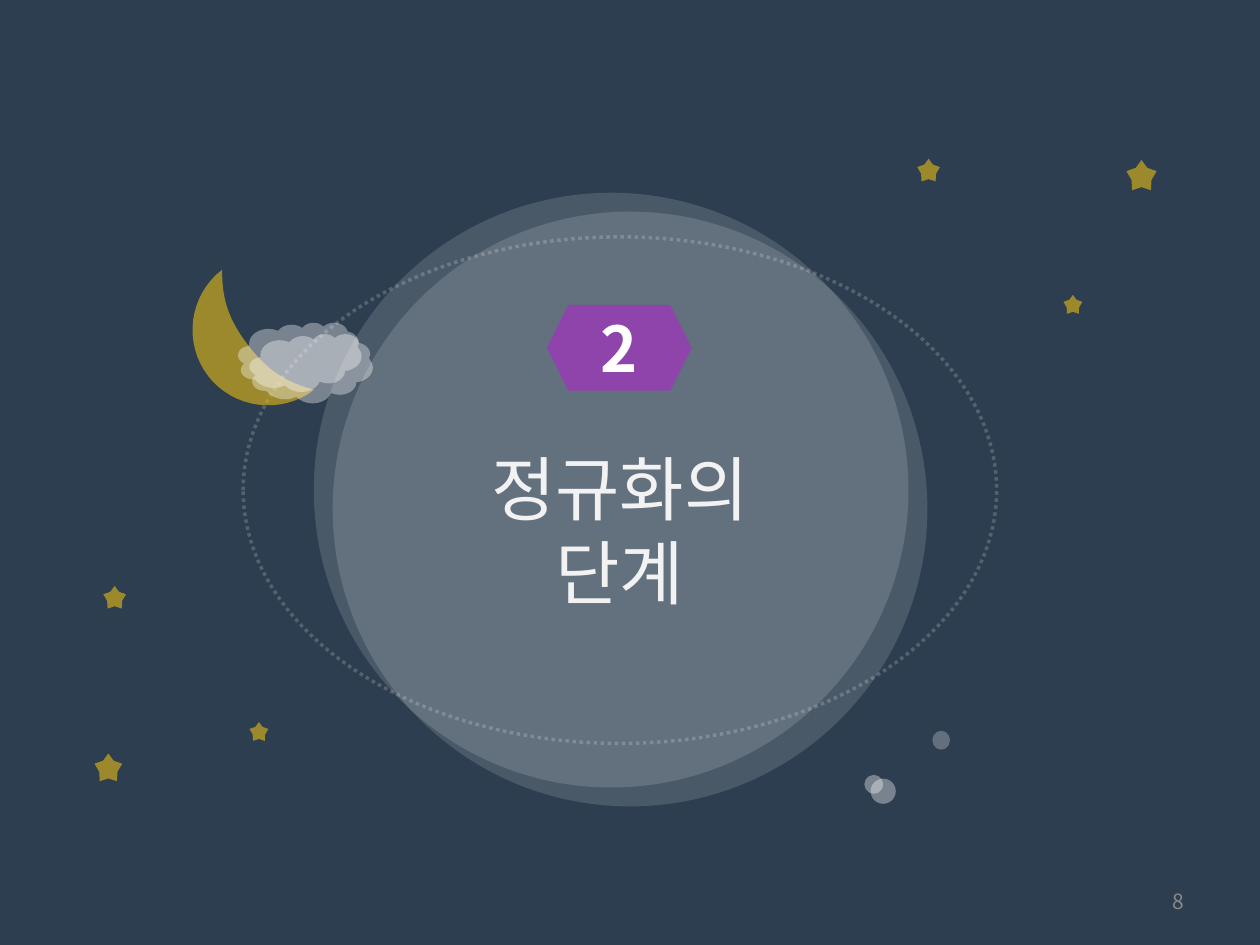
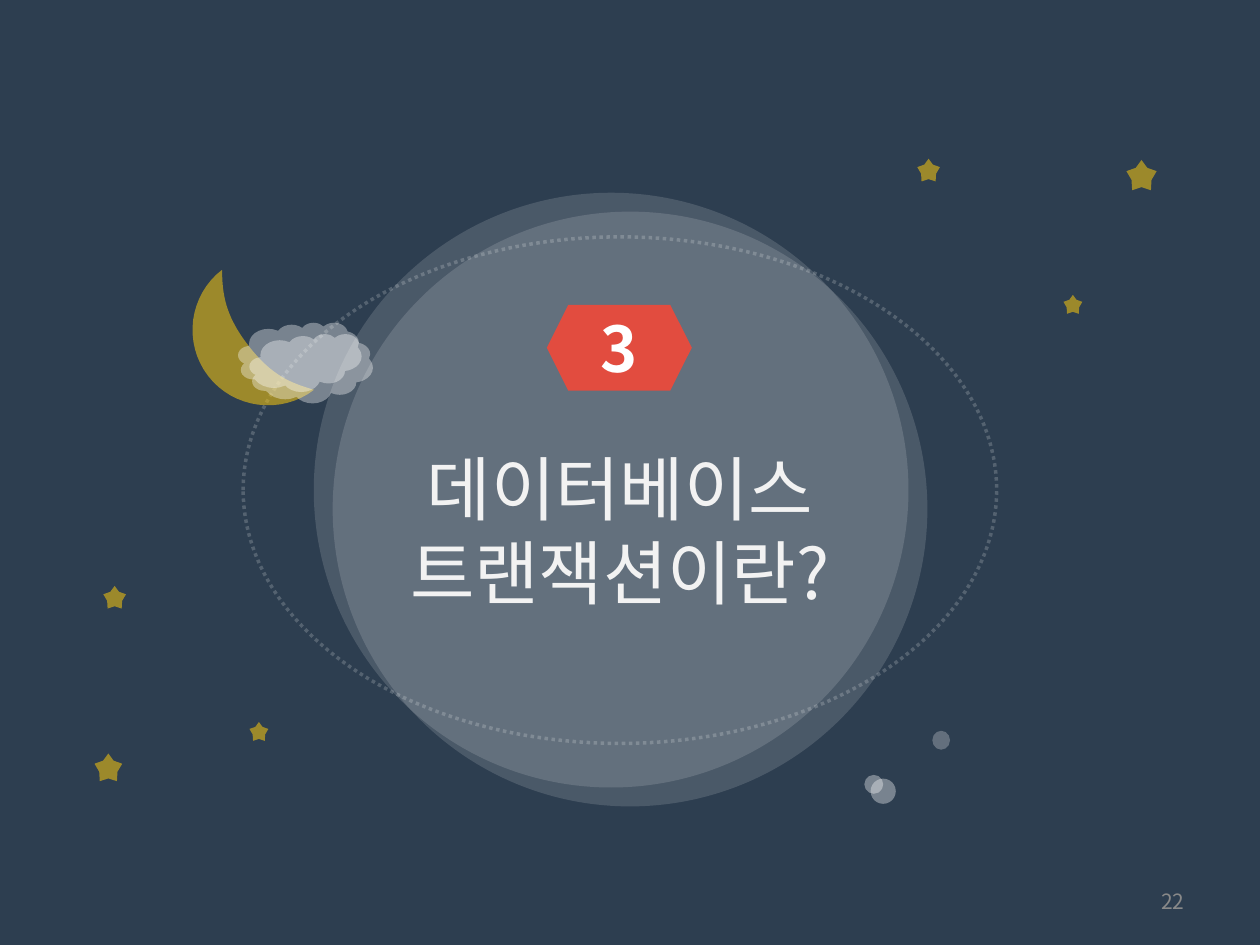
"""Build two night-sky section slides with python-pptx."""
from lxml.etree import SubElement
from pptx import Presentation
from pptx.dml.color import RGBColor
from pptx.enum.dml import MSO_LINE
from pptx.enum.shapes import MSO_SHAPE
from pptx.enum.text import MSO_ANCHOR, MSO_AUTO_SIZE, PP_ALIGN
from pptx.oxml.ns import qn
from pptx.util import Inches, Pt

COLORS = {"night": "2D3E50", "white": "FFFFFF", "gold": "F3C40F", "title": "F2F2F2",
          "page": "898989", "purple": "8F44AB", "red": "E24C3F"}
FACE = "Noto Sans CJK KR"
FORMATS = {
    "title": {"size": Pt(40), "bold": False, "name": FACE},
    "badge": {"size": Pt(36), "bold": True, "name": FACE},
    "page": {"size": Pt(12), "bold": False, "name": FACE},
}
SLIDES = [
    ("2", "purple", ["정규화의", "단계"], "8"),
    ("3", "red", ["데이터베이스", "트랜잭션이란?"], "22"),
]
STARS = [(0.75, 5.98, 0.22), (1.98, 5.73, 0.15), (0.82, 4.65, 0.18),
         (8.94, 1.27, 0.24), (8.44, 2.34, 0.15), (7.28, 1.26, 0.18)]
STAR = [(0, 0.37), (0.31, 0.26), (0.5, 0), (0.69, 0.26), (1, 0.37),
        (0.83, 0.66), (0.81, 1), (0.5, 0.9), (0.19, 1), (0.17, 0.66)]
DOTS = [(6.86, 6.15, 0.15, 0.15, 36), (6.91, 6.18, 0.2, 0.2, 36), (7.4, 5.8, 0.14, 0.15, 26)]
MOON = [[(0.3, -0.6), (0.19, -0.45), (0.1, -0.31), (0.1, 0)],
        [(0.1, 0), (0.1, 0.31), (0.19, 0.45), (0.3, 0.6)],
        [(0.3, 0.6), (-0.03, 0.6), (-0.3, 0.33), (-0.3, 0)],
        [(-0.3, 0), (-0.3, -0.33), (-0.03, -0.6), (0.3, -0.6)]]
STEPS = 16


def paint(shape, color, alpha=100):
    shape.shadow.inherit = False
    shape.line.fill.background()
    shape.fill.solid()
    shape.fill.fore_color.rgb = RGBColor.from_string(COLORS[color])
    if alpha < 100:
        tone = next(shape.element.spPr.iter(qn("a:srgbClr")))
        SubElement(tone, qn("a:alpha"), val=str(alpha * 1000))


def write(shape, lines, style, color, align, anchor):
    frame = shape.text_frame
    frame.word_wrap = True
    frame.vertical_anchor = anchor
    for row, line in enumerate(lines):
        para = frame.paragraphs[0] if row == 0 else frame.add_paragraph()
        para.alignment = align
        run = para.add_run()
        run.text = line
        for key, value in FORMATS[style].items():
            setattr(run.font, key, value)
        run.font.color.rgb = RGBColor.from_string(COLORS[color])
        SubElement(run.font._element, qn("a:ea"), typeface=FACE)


moon_pts = []
for curve in MOON:
    for step in range(STEPS):
        t = step / STEPS
        parts = ((1 - t) ** 3, 3 * t * (1 - t) ** 2, 3 * t * t * (1 - t), t ** 3)
        moon_pts.append((1.89 + sum(w * x for w, (x, y) in zip(parts, curve)),
                         2.8 + sum(w * y for w, (x, y) in zip(parts, curve))))

outlines = [([(left + x * size, top + y * size) for x, y in STAR], 0)
            for left, top, size in STARS]
outlines.append((moon_pts, 322.5))

deck = Presentation()
deck.slide_width, deck.slide_height = Inches(10), Inches(7.5)

for number, tint, title, page in SLIDES:
    slide = deck.slides.add_slide(deck.slide_layouts[6])
    slide.background.fill.solid()
    slide.background.fill.fore_color.rgb = RGBColor.from_string(COLORS["night"])
    shapes = slide.shapes

    orbit = shapes.add_shape(MSO_SHAPE.OVAL, Inches(1.93), Inches(1.88), Inches(5.98), Inches(4.02))
    orbit.shadow.inherit = False
    orbit.fill.background()
    orbit.line.color.rgb = RGBColor.from_string(COLORS["white"])
    orbit.line.width = Pt(2)
    orbit.line.dash_style = MSO_LINE.ROUND_DOT
    tone = next(orbit.element.spPr.iter(qn("a:srgbClr")))
    SubElement(tone, qn("a:alpha"), val="19000")

    discs = shapes.add_group_shape().shapes
    for left, top in [(2.64, 1.68), (2.49, 1.53)]:
        disc = discs.add_shape(MSO_SHAPE.OVAL, Inches(left), Inches(top), Inches(4.72), Inches(4.72))
        paint(disc, "white", 14)

    heading = shapes.add_group_shape().shapes
    box = heading.add_textbox(Inches(2.98), Inches(3.49), Inches(3.88), Inches(1.44))
    write(box, title, "title", "title", PP_ALIGN.CENTER, MSO_ANCHOR.TOP)
    box.text_frame.auto_size = MSO_AUTO_SIZE.SHAPE_TO_FIT_TEXT
    badge = heading.add_shape(MSO_SHAPE.HEXAGON, Inches(4.34), Inches(2.42), Inches(1.15), Inches(0.68))
    badge.adjustments[0] = 0.25
    paint(badge, tint)
    write(badge, [number], "badge", "white", PP_ALIGN.CENTER, MSO_ANCHOR.MIDDLE)

    for points, turn in outlines:
        emus = [(Inches(x), Inches(y)) for x, y in points]
        pen = shapes.build_freeform(*emus[0])
        pen.add_line_segments(emus[1:], close=True)
        glow = pen.convert_to_shape()
        glow.rotation = turn
        paint(glow, "gold", 56)

    for left, top, width, height, alpha in DOTS:
        dot = shapes.add_shape(MSO_SHAPE.OVAL, Inches(left), Inches(top), Inches(width), Inches(height))
        paint(dot, "white", alpha)

    for left, top in [(1.89, 2.56), (1.98, 2.65)]:
        cloud = shapes.add_shape(MSO_SHAPE.CLOUD, Inches(left), Inches(top), Inches(0.98), Inches(0.55))
        paint(cloud, "white", 36)

    foot = shapes.add_textbox(Inches(7.17), Inches(6.95), Inches(2.33), Inches(0.4))
    write(foot, [page], "page", "page", PP_ALIGN.RIGHT, MSO_ANCHOR.MIDDLE)

deck.save("out.pptx")
